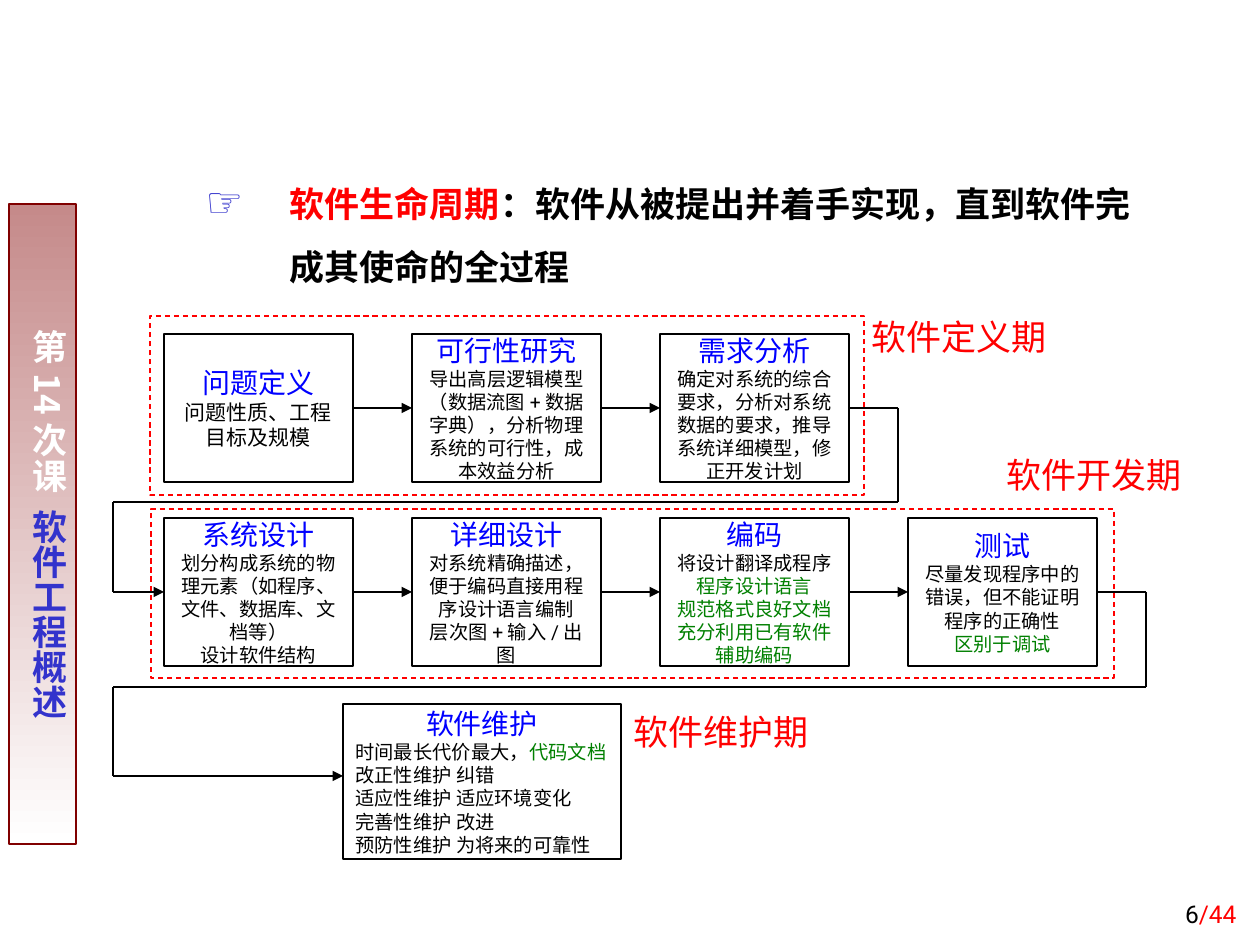
from lxml import etree
from pptx import Presentation
from pptx.dml.color import RGBColor
from pptx.enum.dml import MSO_LINE
from pptx.enum.shapes import MSO_CONNECTOR, MSO_SHAPE
from pptx.enum.text import MSO_ANCHOR, MSO_AUTO_SIZE, PP_ALIGN
from pptx.oxml.ns import qn
from pptx.util import Pt

PX = 7257
RECTANGLE = MSO_SHAPE.RECTANGLE
STRAIGHT = MSO_CONNECTOR.STRAIGHT
DASH = MSO_LINE.DASH
TOP, MIDDLE, BOTTOM = MSO_ANCHOR.TOP, MSO_ANCHOR.MIDDLE, MSO_ANCHOR.BOTTOM
LEFT, CENTER, RIGHT = PP_ALIGN.LEFT, PP_ALIGN.CENTER, PP_ALIGN.RIGHT
NO_AUTOFIT = MSO_AUTO_SIZE.NONE
CJK_FONT = "Noto Sans CJK SC"
BLACK, RED, GREEN = "000000", "FF0000", "008000"
BLUE, INDIGO, WHITE, MAROON = "0000FF", "3333CC", "FFFFFF", "800000"
color = RGBColor.from_string


def write(frame, text, size=11, ink=BLACK, font="Roboto", bold=False, align=LEFT, same_line=False):
    paragraph = frame.paragraphs[-1]
    if paragraph.runs and not same_line:
        paragraph = frame.add_paragraph()
    paragraph.alignment = align
    run = paragraph.add_run()
    run.text = text
    run.font.size = Pt(size)
    run.font.bold = bold
    run.font.name = font
    run.font.color.rgb = color(ink)
    east_asian = etree.SubElement(run.font._element, qn("a:ea"))
    east_asian.set("typeface", CJK_FONT)
    return paragraph


def connect(points, source=None, target=None):
    last = len(points) - 2
    for index, (start, end) in enumerate(zip(points, points[1:])):
        connector = slide.shapes.add_connector(STRAIGHT, *[value * PX for value in start + end])
        connector.line.color.rgb = color(BLACK)
        connector.line.width = Pt(0.75)
        if source and index == 0:
            connector.begin_connect(source, 3)
        if target and index == last:
            connector.end_connect(target, 1)
        properties = connector.element.spPr
        if index == last:
            etree.SubElement(properties.find(qn("a:ln")), qn("a:tailEnd")).set("type", "triangle")
        etree.SubElement(properties, qn("a:effectLst"))


presentation = Presentation()
presentation.slide_width = 1260 * PX
presentation.slide_height = 945 * PX
slide = presentation.slides.add_slide(presentation.slide_layouts[1])
title = slide.shapes.title.element
title.getparent().remove(title)

sidebar = slide.shapes.add_shape(RECTANGLE, 9 * PX, 204 * PX, 67 * PX, 640 * PX)
sidebar.shadow.inherit = False
sidebar.fill.gradient()
sidebar.fill.gradient_angle = 270
for stop, shade in zip(sidebar.fill.gradient_stops, ("C58A8A", WHITE)):
    stop.color.rgb = color(shade)
sidebar.line.color.rgb = color(MAROON)
sidebar.line.width = Pt(0.75)
frame = sidebar.text_frame
frame.vertical_anchor = TOP
frame.margin_left = frame.margin_right = 6 * PX
frame.margin_top = 126 * PX
frame.margin_bottom = 13 * PX
frame._txBody.bodyPr.set("vert", "eaVert")
write(frame, "第14次课  ", size=20, ink=WHITE, font=CJK_FONT, bold=True)
write(frame, "软件工程概述", size=20, ink=INDIGO, font=CJK_FONT, bold=True, same_line=True)

page_number = slide.shapes.add_textbox(987 * PX, 872 * PX, 262 * PX, 63 * PX)
frame = page_number.text_frame
frame.word_wrap = True
frame.vertical_anchor = BOTTOM
write(frame, "6", size=14, align=RIGHT)
write(frame, "/44", size=14, ink=RED, align=RIGHT, same_line=True)

body = slide.placeholders[1]
body.left, body.top, body.width, body.height = 193 * PX, 155 * PX, 983 * PX, 149 * PX
frame = body.text_frame
frame.auto_size = NO_AUTOFIT
write(frame, "软件生命周期", size=20, ink=RED, font="Times New Roman", bold=True)
paragraph = write(frame, "：软件从被提出并着手实现，直到软件完成其使命的全过程",
                  size=20, font="Times New Roman", bold=True, same_line=True)
paragraph.line_spacing = 1.5
paragraph.space_before = Pt(0)
bullet = paragraph._p.get_or_add_pPr()
bullet.set("marL", str(84 * PX))
bullet.set("indent", str(-84 * PX))
bullet_color = etree.SubElement(bullet, qn("a:buClr"))
etree.SubElement(bullet_color, qn("a:srgbClr")).set("val", INDIGO)
etree.SubElement(bullet, qn("a:buSzPct")).set("val", "120000")
etree.SubElement(bullet, qn("a:buChar")).set("char", "☞")

definition = [
    ("问题定义", 12, [("问题性质、工程目标及规模", BLACK)]),
    ("可行性研究", 11, [("导出高层逻辑模型（数据流图+数据字典），分析物理系统的可行性，成本效益分析", BLACK)]),
    ("需求分析", 11, [("确定对系统的综合要求，分析对系统数据的要求，推导系统详细模型，修正开发计划", BLACK)]),
]
development = [
    ("系统设计", 11, [("划分构成系统的物理元素（如程序、文件、数据库、文档等）", BLACK), ("设计软件结构", BLACK)]),
    ("详细设计", 11, [("对系统精确描述，便于编码直接用程序设计语言编制", BLACK), ("层次图+输入/出图", BLACK)]),
    ("编码", 11, [("将设计翻译成程序", BLACK), ("程序设计语言", GREEN),
                ("规范格式良好文档", GREEN), ("充分利用已有软件辅助编码", GREEN)]),
    ("测试", 11, [("尽量发现程序中的错误，但不能证明程序的正确性", BLACK), ("区别于调试", GREEN)]),
]
maintenance = ("软件维护", 11, [
    ("时间最长代价最大，", BLACK), ("改正性维护 纠错", BLACK), ("适应性维护 适应环境变化", BLACK),
    ("完善性维护 改进", BLACK), ("预防性维护 为将来的可靠性", BLACK)])

steps = [(164 + 248 * column, top, 189, 148, CENTER, step)
         for top, row in ((334, definition), (518, development))
         for column, step in enumerate(row)]
steps.append((343, 704, 278, 155, LEFT, maintenance))

boxes = []
for left, top, width, height, align, (heading, size, details) in steps:
    box = slide.shapes.add_shape(RECTANGLE, left * PX, top * PX, width * PX, height * PX)
    box.shadow.inherit = False
    box.fill.background()
    box.line.color.rgb = color(BLACK)
    box.line.width = Pt(0.75)
    frame = box.text_frame
    frame.word_wrap = True
    frame.vertical_anchor = MIDDLE
    write(frame, heading, size=16, ink=BLUE, align=CENTER)
    for text, ink in details:
        write(frame, text, size=size, ink=ink, align=align)
        if text == "时间最长代价最大，":
            write(frame, "代码文档", ink=GREEN, same_line=True)
    boxes.append(box)

for row, middle in ((boxes[:3], 408), (boxes[3:7], 592)):
    for column, (source, target) in enumerate(zip(row, row[1:])):
        connect([(353 + 248 * column, middle), (412 + 248 * column, middle)], source, target)
connect([(849, 408), (898, 408), (898, 502), (113, 502), (113, 592), (164, 592)], boxes[2], boxes[3])
connect([(1097, 592), (1146, 592), (1146, 687), (113, 687), (113, 776), (343, 776)], boxes[6])

for left, top, width, height in ((150, 316, 714, 179), (151, 509, 963, 169)):
    phase = slide.shapes.add_shape(RECTANGLE, left * PX, top * PX, width * PX, height * PX)
    phase.shadow.inherit = False
    phase.fill.background()
    phase.line.color.rgb = color(RED)
    phase.line.width = Pt(0.75)
    phase.line.dash_style = DASH

for left, top, text in ((859, 309, "软件定义期"), (994, 447, "软件开发期"), (621, 704, "软件维护期")):
    label = slide.shapes.add_textbox(left * PX, top * PX, 212 * PX, 55 * PX)
    label.text_frame.word_wrap = True
    write(label.text_frame, text, size=20, ink=RED)

presentation.save("out.pptx")
